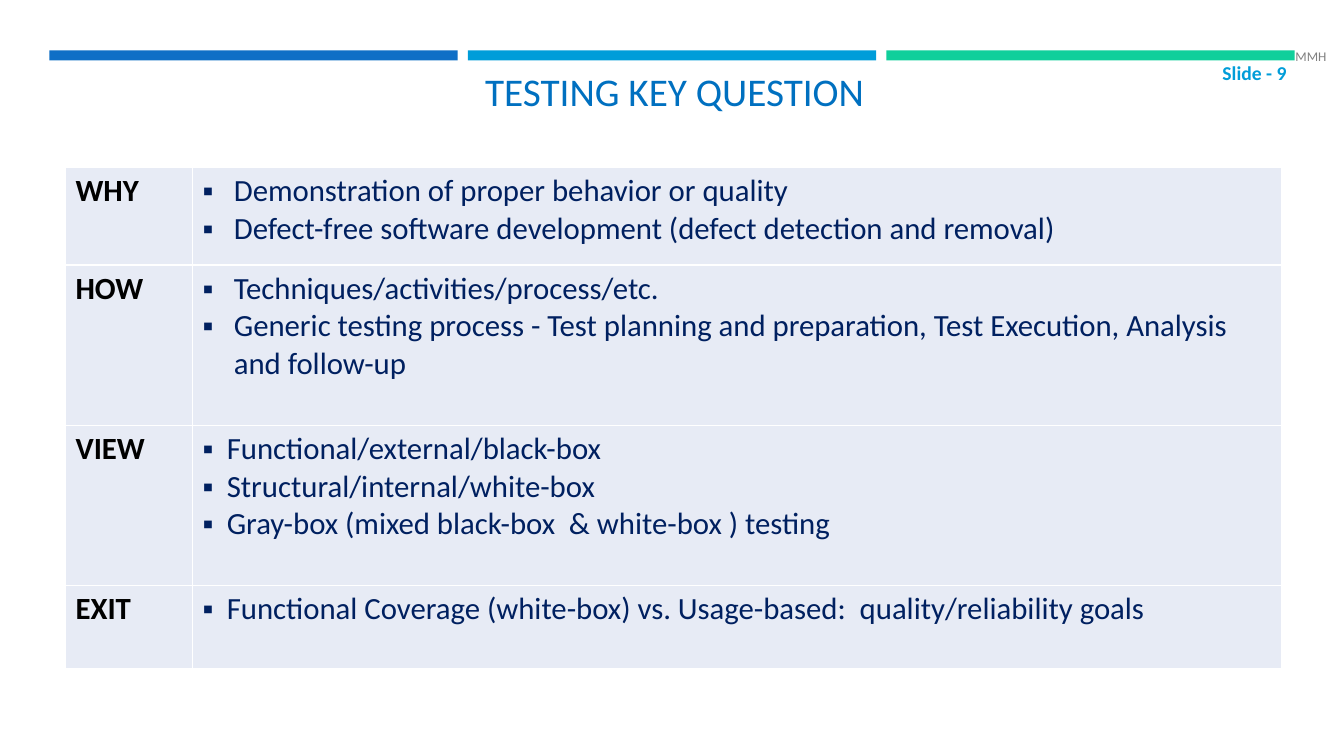
from typing import NamedTuple

from lxml import etree
from pptx import Presentation
from pptx.dml.color import RGBColor
from pptx.enum.shapes import MSO_SHAPE
from pptx.enum.text import MSO_ANCHOR, PP_ALIGN
from pptx.oxml.ns import qn
from pptx.util import Pt

PX = 9144  # 100 px to the inch
FONT = "Calibri"
RECT = MSO_SHAPE.RECTANGLE
LEFT, MID, RIGHT = PP_ALIGN.LEFT, PP_ALIGN.CENTER, PP_ALIGN.RIGHT
CENTRE, BOTTOM = MSO_ANCHOR.MIDDLE, MSO_ANCHOR.BOTTOM

BLUE = RGBColor(0x0F, 0x6F, 0xC6)
CYAN = RGBColor(0x00, 0x9D, 0xD9)
GREEN = RGBColor(0x10, 0xCF, 0x9B)
TITLE = RGBColor(0x00, 0x70, 0xC0)
NAVY = RGBColor(0x00, 0x20, 0x60)
BLACK = RGBColor(0x00, 0x00, 0x00)
GRAY = RGBColor(0x80, 0x80, 0x80)
PALE = RGBColor(0xE7, 0xEB, 0xF5)
WHITE = RGBColor(0xFF, 0xFF, 0xFF)


class Label(NamedTuple):
    text: str
    left: int
    top: int
    width: int
    height: int
    size: float
    color: RGBColor
    align: PP_ALIGN
    anchor: MSO_ANCHOR
    bold: bool = False


class Row(NamedTuple):
    head: str
    height: int
    indent: int
    points: list[str]


LABELS = [
    Label("TESTING KEY QUESTION", 132, 53, 1074, 65, 28, TITLE, MID, BOTTOM),
    Label("MMH", 1275, 41, 58, 30, 9.5, GRAY, LEFT, CENTRE),
    Label("Slide - 9", 1171, 57, 115, 31, 14, CYAN, RIGHT, CENTRE, True),
]

ROWS = [
    Row("WHY", 97, 31, [
        "Demonstration of proper behavior or quality",
        "Defect-free software development (defect detection and removal)",
    ]),
    Row("HOW", 159, 31, [
        "Techniques/activities/process/etc.",
        "Generic testing process - Test planning and preparation, "
        "Test Execution, Analysis\vand follow-up",
    ]),
    Row("VIEW", 159, 24, [
        "Functional/external/black-box",
        "Structural/internal/white-box",
        "Gray-box (mixed black-box  & white-box ) testing",
    ]),
    Row("EXIT", 82, 24, [
        "Functional Coverage (white-box) vs. Usage-based:  "
        "quality/reliability goals",
    ]),
]


def style(para, size: float, color: RGBColor, bold: bool = False) -> None:
    for run in para.runs:
        font = run.font
        font.name, font.size, font.bold = FONT, Pt(size), bold
        font.color.rgb = color


def add_bar(slide, left: int, color: RGBColor) -> None:
    bar = slide.shapes.add_shape(RECT, left * PX, 50 * PX, 405 * PX, 10 * PX)
    bar.shadow.inherit = False
    bar.fill.solid()
    bar.fill.fore_color.rgb = color
    bar.line.fill.background()


def add_label(slide, label: Label) -> None:
    box = slide.shapes.add_textbox(label.left * PX, label.top * PX,
                                   label.width * PX, label.height * PX)
    frame = box.text_frame
    frame.word_wrap = True
    frame.vertical_anchor = label.anchor
    frame.text = label.text
    para = frame.paragraphs[0]
    para.alignment = label.align
    style(para, label.size, label.color, label.bold)


def add_bullet(para, indent: int) -> None:
    props = para._p.get_or_add_pPr()
    props.set("marL", str(indent * PX))
    props.set("indent", str(-indent * PX))
    etree.SubElement(props, qn("a:buFont")).set("typeface", "Arial")
    etree.SubElement(props, qn("a:buChar")).set("char", "▪")


def paint_cell(cell) -> None:
    props = cell._tc.get_or_add_tcPr()
    for side in "LRTB":
        line = etree.SubElement(props, qn(f"a:ln{side}"), w=str(Pt(1)))
        fill = etree.SubElement(line, qn("a:solidFill"))
        etree.SubElement(fill, qn("a:srgbClr"), val=str(WHITE))
    cell.fill.solid()
    cell.fill.fore_color.rgb = PALE


def add_grid(slide) -> None:
    total = sum(row.height for row in ROWS)
    table = slide.shapes.add_table(len(ROWS), 2, 65 * PX, 166 * PX,
                                   1206 * PX, total * PX).table
    table.first_row = table.horz_banding = False
    table.columns[0].width = 126 * PX
    table.columns[1].width = 1080 * PX
    for i, row in enumerate(ROWS):
        table.rows[i].height = row.height * PX
        head, body = table.cell(i, 0), table.cell(i, 1)
        paint_cell(head)
        paint_cell(body)
        head.text_frame.text = row.head
        style(head.text_frame.paragraphs[0], 22, BLACK, True)
        body.text_frame.text = "\n".join(row.points)
        for para in body.text_frame.paragraphs:
            add_bullet(para, row.indent)
            style(para, 22, NAVY)


def main() -> None:
    deck = Presentation()
    deck.slide_width, deck.slide_height = 1333 * PX, 750 * PX
    slide = deck.slides.add_slide(deck.slide_layouts[6])
    # Coloured bars along the top
    for i, color in enumerate((BLUE, CYAN, GREEN)):
        add_bar(slide, 49 + 415 * i, color)
    # Title, author mark and slide number
    for label in LABELS:
        add_label(slide, label)
    # Question table
    add_grid(slide)
    deck.save("out.pptx")


if __name__ == "__main__":
    main()
